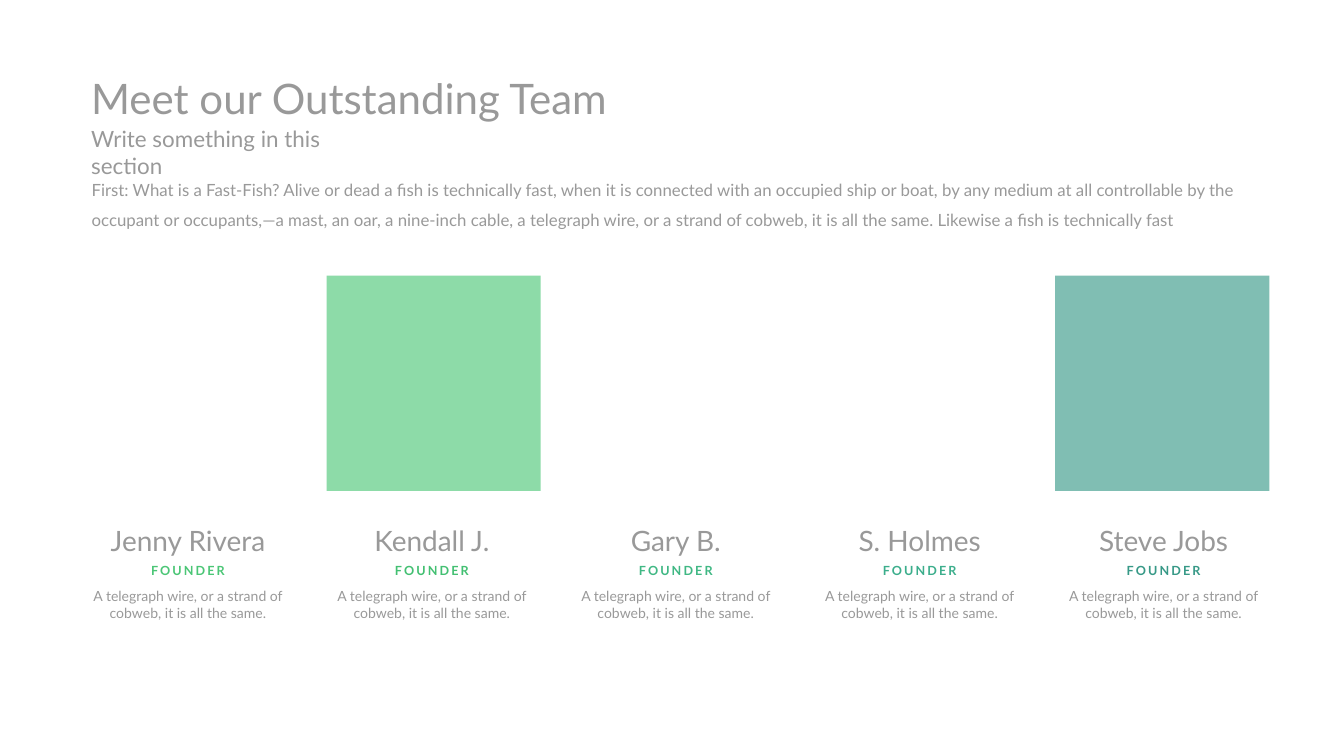
from dataclasses import dataclass

from lxml.etree import SubElement
from pptx import Presentation
from pptx.dml.color import RGBColor
from pptx.enum.shapes import MSO_SHAPE as Shape
from pptx.enum.text import MSO_AUTO_SIZE as AutoSize, PP_ALIGN as Align
from pptx.oxml.ns import qn
from pptx.util import Inches, Pt

# Slide and team grid, in inches
WIDTH, HEIGHT = 26.67, 15
FIRST_CENTER, COLUMN = 3.73, 4.84
FIRST_TILE, TILE_COLUMN = 1.66, 4.82
TILE_TOP, TILE_W, TILE_H = 5.47, 4.25, 4.27
NAME_TOP, ROLE_TOP, BIO_TOP = 10.34, 11.12, 11.61

FONT, GREY = "Lato", "999999"
ROLE = "FOUNDER"
BIO = "A telegraph wire, or a strand of cobweb, it is all the same."


@dataclass
class Style:
    size: float
    color: str = GREY
    bold: bool = False
    tracking: float = 0
    line_spacing: float = 1
    align: Align = Align.LEFT
    wrap: bool = False


@dataclass
class Member:
    name: str
    name_width: float
    color: str
    tile: bool = False


@dataclass
class Heading:
    text: str
    box: tuple[float, float, float, float]
    style: Style


HEADINGS = [
    Heading("Meet our Outstanding Team", (1.71, 1.38, 10.45, 1.11), Style(60)),
    Heading("Write something in this section", (1.71, 2.43, 6.19, 0.64),
            Style(32, wrap=True)),
    Heading("First: What is a Fast-Fish? Alive or dead a fish is technically fast, "
            "when it is connected with an occupied ship or boat, by any medium at all "
            "controllable by the occupant or occupants,—a mast, an oar, a nine-inch "
            "cable, a telegraph wire, or a strand of cobweb, it is all the same. "
            "Likewise a fish is technically fast",
            (1.72, 3.31, 22.99, 1.23), Style(24, line_spacing=1.5, wrap=True)),
]

TEAM = [
    Member("Jenny Rivera", 3.29, "4BC676"),
    Member("Kendall J.", 2.51, "43C072", tile=True),
    Member("Gary B.", 2.0, "40B884"),
    Member("S. Holmes", 2.63, "3CAE8C"),
    Member("Steve Jobs", 2.81, "379987", tile=True),
]
TILE_COLORS = {"Kendall J.": "4BC676", "Steve Jobs": "379987"}


def rgb(color: str) -> RGBColor:
    return RGBColor.from_string(color)


def add_text(s, text: str, box: tuple[float, float, float, float], style: Style) -> None:
    tf = s.shapes.add_textbox(*map(Inches, box)).text_frame
    tf.word_wrap = style.wrap
    tf.auto_size = AutoSize.SHAPE_TO_FIT_TEXT
    p = tf.paragraphs[0]
    p.alignment, p.line_spacing = style.align, style.line_spacing
    r = p.add_run()
    r.text = text
    r.font.name, r.font.size, r.font.bold = FONT, Pt(style.size), style.bold
    r.font.color.rgb = rgb(style.color)
    if style.tracking:
        r.font._element.set("spc", str(int(style.tracking * 100)))


def add_tile(s, column: int, color: str, opacity: int = 63) -> None:
    left = FIRST_TILE + column * TILE_COLUMN
    sp = s.shapes.add_shape(Shape.RECTANGLE,
                            *map(Inches, (left, TILE_TOP, TILE_W, TILE_H)))
    sp.shadow.inherit = False
    sp.line.fill.background()
    sp.fill.solid()
    sp.fill.fore_color.rgb = rgb(color)
    clr = sp._element.spPr.find(f"{qn('a:solidFill')}/{qn('a:srgbClr')}")
    SubElement(clr, qn("a:alpha")).set("val", str(opacity * 1000))


def add_member(s, column: int, member: Member) -> None:
    center = FIRST_CENTER + column * COLUMN
    rows = [
        (ROLE, ROLE_TOP, 1.74, 0.4,
         Style(18, member.color, bold=True, tracking=3, align=Align.CENTER)),
        (BIO, BIO_TOP, 3.95, 0.77, Style(20, align=Align.CENTER, wrap=True)),
        (member.name, NAME_TOP, member.name_width, 0.77,
         Style(40, align=Align.CENTER)),
    ]
    for text, top, width, height, style in rows:
        add_text(s, text, (center - width / 2, top, width, height), style)
    if member.tile:
        add_tile(s, column, TILE_COLORS[member.name])


def main() -> None:
    prs = Presentation()
    prs.slide_width, prs.slide_height = Inches(WIDTH), Inches(HEIGHT)
    s = prs.slides.add_slide(prs.slide_layouts[6])

    # Title, subtitle and introduction
    for heading in HEADINGS:
        add_text(s, heading.text, heading.box, heading.style)

    # One column per team member
    for column, member in enumerate(TEAM):
        add_member(s, column, member)

    prs.save("out.pptx")


if __name__ == "__main__":
    main()
